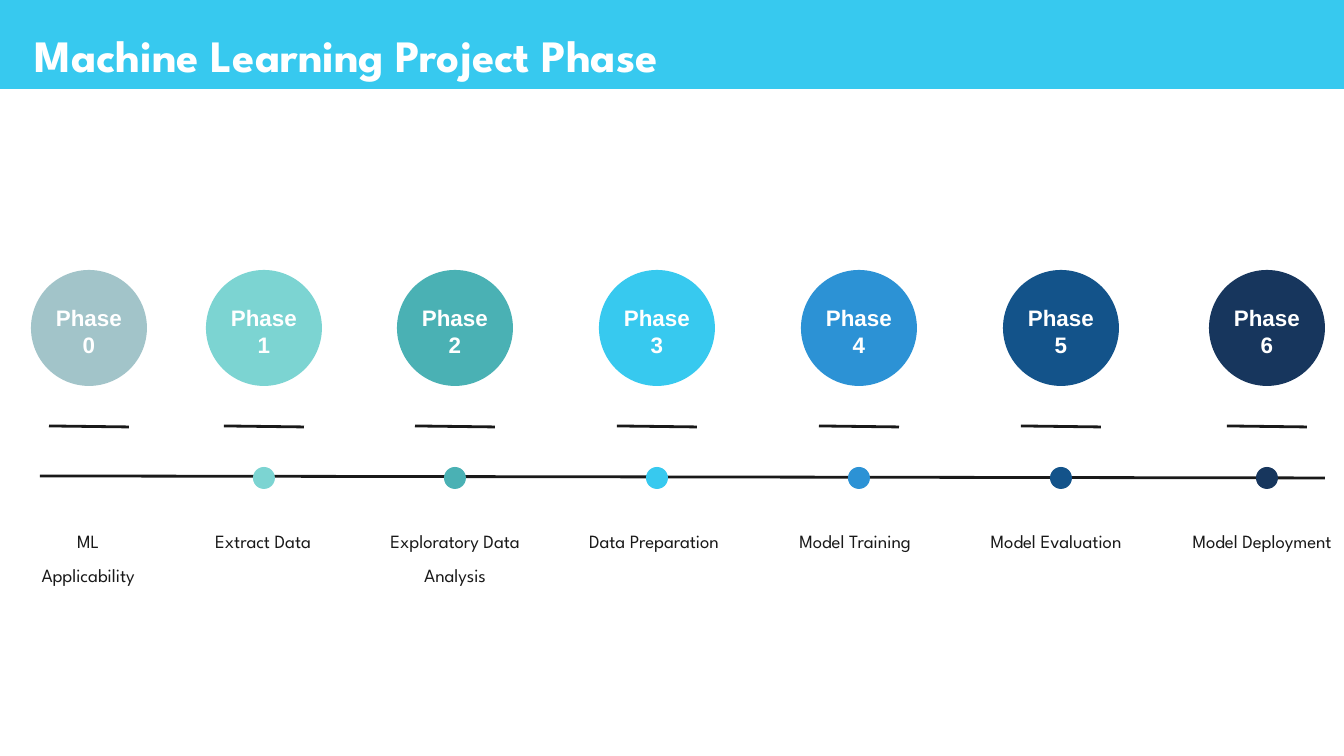
from dataclasses import dataclass

from lxml import etree
from pptx import Presentation
from pptx.dml.color import RGBColor
from pptx.enum.shapes import MSO_CONNECTOR, MSO_SHAPE
from pptx.enum.text import MSO_ANCHOR, MSO_AUTO_SIZE, PP_ALIGN
from pptx.oxml.ns import qn
from pptx.util import Pt

OVAL, RECT = MSO_SHAPE.OVAL, MSO_SHAPE.RECTANGLE
STRAIGHT = MSO_CONNECTOR.STRAIGHT
LEFT, CENTER = PP_ALIGN.LEFT, PP_ALIGN.CENTER
TOP, MIDDLE = MSO_ANCHOR.TOP, MSO_ANCHOR.MIDDLE
FIT_SHAPE = MSO_AUTO_SIZE.SHAPE_TO_FIT_TEXT

# Content: label, colour, centre of circle, centre of label, label width
TITLE = "Machine Learning Project Phase"
PHASES = [
    ("ML\nApplicability", "A2C4C9", 89, 88, 161),
    ("Extract Data", "7CD4D2", 264, 263, 161),
    ("Exploratory Data Analysis", "4AB1B4", 455, 455, 181),
    ("Data Preparation", "37C9EF", 657, 654, 161),
    ("Model Training", "2C92D5", 859, 855, 161),
    ("Model Evaluation", "13538A", 1061, 1056, 161),
    ("Model Deployment", "17365D", 1267, 1262, 161),
]


@dataclass(frozen=True)
class Theme:
    banner: str = "37C9EF"
    ink: str = "191919"
    light: str = "FFFFFF"
    heading_font: str = "League Spartan"
    phase_font: str = "Arial"
    title_size: int = 24
    phase_size: int = 12
    label_size: int = 10
    line_width: float = 1.5


THEME = Theme()

# Layout in px
W, H = 1344, 756
BANNER_H = 89
CIRCLE, CIRCLE_Y = 116, 270
TICK, TICK_Y = 80, 426
AXIS = (40, 476, 1325, 478)
DOT, DOT_Y = 22, 467
LABEL_Y, LABEL_LINE_H = 519, 28
EMU_PER_PX = 914400 / 134.4


def px(n):
    return round(n * EMU_PER_PX)


def add_filled(slide, kind, x, y, w, h, color):
    sp = slide.shapes.add_shape(kind, px(x), px(y), px(w), px(h))
    sp.shadow.inherit = False
    sp.fill.solid()
    sp.fill.fore_color.rgb = RGBColor.from_string(color)
    sp.line.fill.background()
    return sp


def add_line(slide, x1, y1, x2, y2):
    line = slide.shapes.add_connector(STRAIGHT, px(x1), px(y1), px(x2), px(y2))
    line.line.color.rgb = RGBColor.from_string(THEME.ink)
    line.line.width = Pt(THEME.line_width)
    etree.SubElement(line._element.spPr, qn("a:effectLst"))


def set_text(sp, text, font, size, color, bold=False, align=CENTER,
             anchor=TOP, spacing=1.0, insets=(0, 0, 0, 0)):
    tf = sp.text_frame
    tf.text = text
    tf.word_wrap = True
    tf.vertical_anchor = anchor
    tf.margin_left, tf.margin_top, tf.margin_right, tf.margin_bottom = map(px, insets)
    for p in tf.paragraphs:
        p.alignment = align
        p.line_spacing = spacing
        for r in p.runs:
            r.font.name = font
            r.font.size = Pt(size)
            r.font.bold = bold
            r.font.color.rgb = RGBColor.from_string(color)
    return tf


def add_text(slide, x, y, w, h, text, *style, **options):
    box = slide.shapes.add_textbox(px(x), px(y), px(w), px(h))
    return set_text(box, text, *style, **options)


def add_phase(slide, number, label, color, center, label_center, label_w):
    # Numbered circle
    circle = add_filled(slide, OVAL, center - CIRCLE / 2, CIRCLE_Y, CIRCLE, CIRCLE, color)
    set_text(circle, f"Phase\n{number}", THEME.phase_font, THEME.phase_size,
             THEME.light, bold=True, anchor=MIDDLE, insets=(4, 11, 4, 4))

    # Tick below the circle, and a dot on the axis after the starting phase
    add_line(slide, center - TICK / 2, TICK_Y, center + TICK / 2, TICK_Y + 1)
    if number:
        add_filled(slide, OVAL, center - DOT / 2, DOT_Y, DOT, DOT, color)

    # Label
    tf = add_text(slide, label_center - label_w / 2, LABEL_Y, label_w, LABEL_LINE_H,
                  label, THEME.heading_font, THEME.label_size, THEME.ink, spacing=1.5)
    tf.auto_size = FIT_SHAPE


def main():
    prs = Presentation()
    prs.slide_width, prs.slide_height = px(W), px(H)
    slide = prs.slides.add_slide(prs.slide_layouts[6])

    # Title banner
    add_filled(slide, RECT, 0, 0, W, BANNER_H, THEME.banner)
    add_text(slide, 28, 8, 1277, 148, TITLE, THEME.heading_font, THEME.title_size,
             THEME.light, bold=True, align=LEFT, spacing=1.31, insets=(7, 3, 7, 3))

    # Timeline
    add_line(slide, *AXIS)
    for number, phase in enumerate(PHASES):
        add_phase(slide, number, *phase)

    prs.save("out.pptx")


if __name__ == "__main__":
    main()
